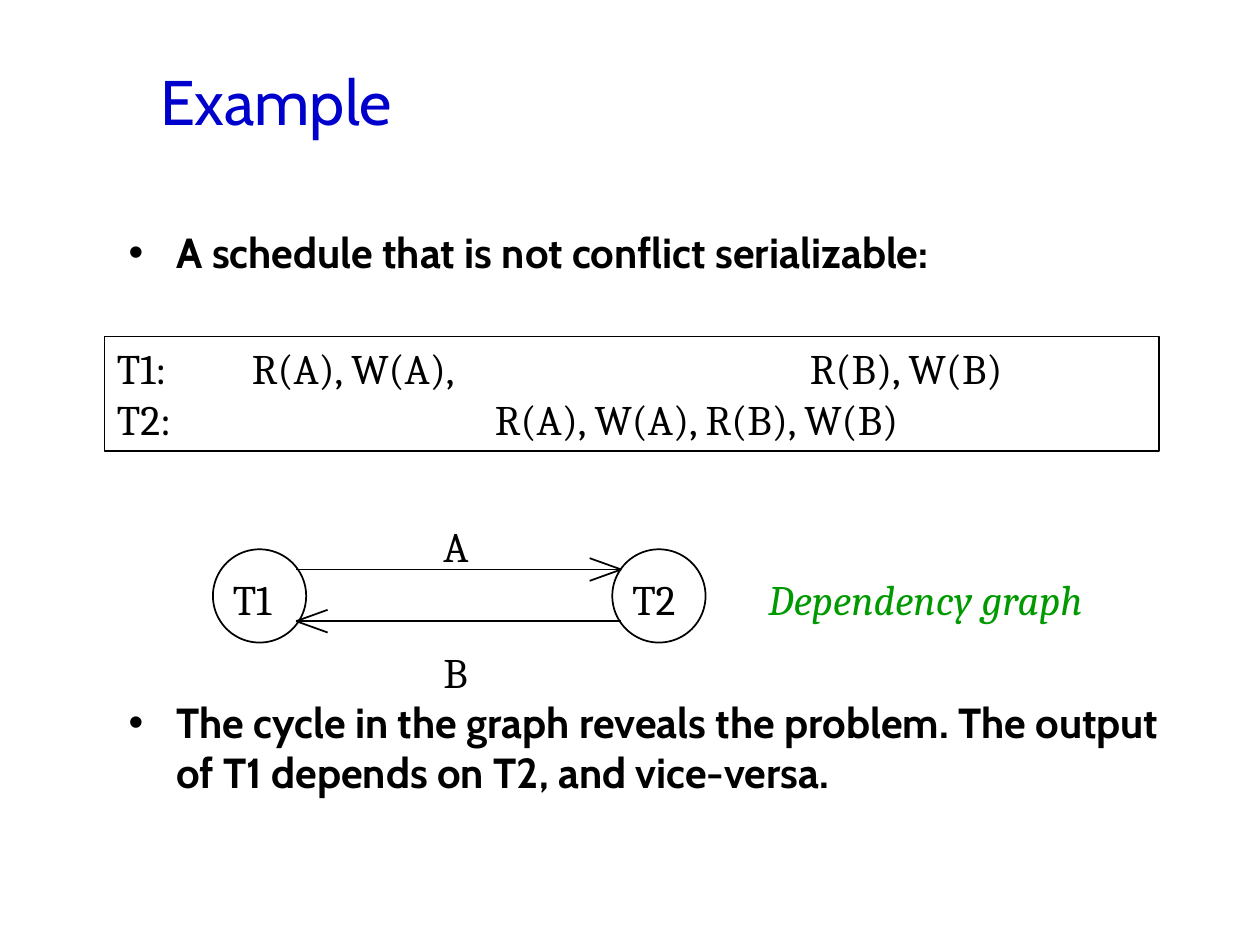
from dataclasses import dataclass
from lxml.etree import SubElement
from pptx import Presentation
from pptx.dml.color import RGBColor
from pptx.enum.shapes import MSO_CONNECTOR, MSO_SHAPE
from pptx.enum.text import MSO_ANCHOR, MSO_AUTO_SIZE, PP_ALIGN
from pptx.oxml.ns import qn
from pptx.util import Inches, Pt


@dataclass(frozen=True)
class Theme:
    head: str = "Cabin"
    text: str = "Cambria"
    blue: str = "0000CC"
    green: str = "009900"
    black: str = "000000"
    white: str = "FFFFFF"
    big: int = 36
    size: int = 24
    line: int = 1


theme = Theme()


def write(para, text, face=theme.text, size=theme.size, color=theme.black,
          bold=False, slant=False, gap=0, bullet=None, tabs=()):
    para.alignment = PP_ALIGN.LEFT
    para.space_before = Pt(gap)
    props = para._p.get_or_add_pPr()
    if bullet:
        props.set("marL", str(Inches(0.38)))
        props.set("indent", str(Inches(-0.38)))
        SubElement(props, qn("a:buChar"), char=bullet)
    if tabs:
        stops = SubElement(props, qn("a:tabLst"))
        for stop in tabs:
            SubElement(stops, qn("a:tab"), pos=str(Inches(stop)), algn="l")
    run = para.add_run()
    run.text = text
    font = run.font
    font.name, font.size = face, Pt(size)
    font.bold, font.italic = bold, slant
    font.color.rgb = RGBColor.from_string(color)


def outline(shape):
    shape.line.color.rgb = RGBColor.from_string(theme.black)
    shape.line.width = Pt(theme.line)


deck = Presentation()
deck.slide_width, deck.slide_height = Inches(10), Inches(7.5)
slide = deck.slides.add_slide(deck.slide_layouts[1])
shapes = slide.shapes

title, body = slide.placeholders
for holder, left, top, width, height in [(title, 1.17, 0.17, 8.5, 1.25),
                                         (body, 0.92, 1.75, 8.5, 5.08)]:
    holder.left, holder.top = Inches(left), Inches(top)
    holder.width, holder.height = Inches(width), Inches(height)
    holder.text_frame.auto_size = MSO_AUTO_SIZE.NONE
title.text_frame.vertical_anchor = MSO_ANCHOR.MIDDLE
write(title.text_frame.paragraphs[0], "Example", face=theme.head,
      size=theme.big, color=theme.blue)

points = body.text_frame
write(points.paragraphs[0], "A schedule that is not conflict serializable:",
      face=theme.head, bold=True, bullet="•")
write(points.add_paragraph(),
      "The cycle in the graph reveals the problem. "
      "The output of T1 depends on T2, and vice-versa.",
      face=theme.head, bold=True, bullet="•", gap=239.5)

for left in (1.69, 4.86):
    node = shapes.add_shape(MSO_SHAPE.OVAL, Inches(left), Inches(4.36),
                            Inches(0.74), Inches(0.74))
    node.shadow.inherit = False
    node.fill.background()
    outline(node)

for tail, tip, level in [(2.35, 4.93, 4.52), (4.93, 2.35, 4.93)]:
    back = tip - 0.25 if tip > tail else tip + 0.25
    for start, rise in [(tail, 0), (back, -0.09), (back, 0.09)]:
        edge = shapes.add_connector(MSO_CONNECTOR.STRAIGHT, Inches(start),
                                    Inches(level + rise), Inches(tip), Inches(level))
        outline(edge)
        SubElement(edge._element.spPr, qn("a:effectLst"))

for text, left, top, width, color, slant in [
    ("T1", 1.75, 4.5, 0.57, theme.black, False),
    ("T2", 4.92, 4.5, 0.57, theme.black, False),
    ("A", 3.42, 4.08, 0.46, theme.black, False),
    ("B", 3.42, 5.08, 0.4, theme.black, False),
    ("Dependency graph", 6, 4.5, 2.71, theme.green, True),
]:
    label = shapes.add_textbox(Inches(left), Inches(top), Inches(width), Inches(0.5))
    label.text_frame.word_wrap = False
    write(label.text_frame.paragraphs[0], text, color=color, slant=slant)

box = shapes.add_shape(MSO_SHAPE.RECTANGLE, Inches(0.83), Inches(2.67),
                       Inches(8.37), Inches(0.91))
box.shadow.inherit = False
box.fill.solid()
box.fill.fore_color.rgb = RGBColor.from_string(theme.white)
outline(box)
frame = box.text_frame
frame.word_wrap = True
frame.vertical_anchor = MSO_ANCHOR.TOP
write(frame.paragraphs[0], "T1:\tR(A), W(A),\tR(B), W(B)", tabs=(1.07, 5.5))
write(frame.add_paragraph(), "T2:\tR(A), W(A), R(B), W(B)", tabs=(3,))

deck.save("out.pptx")
